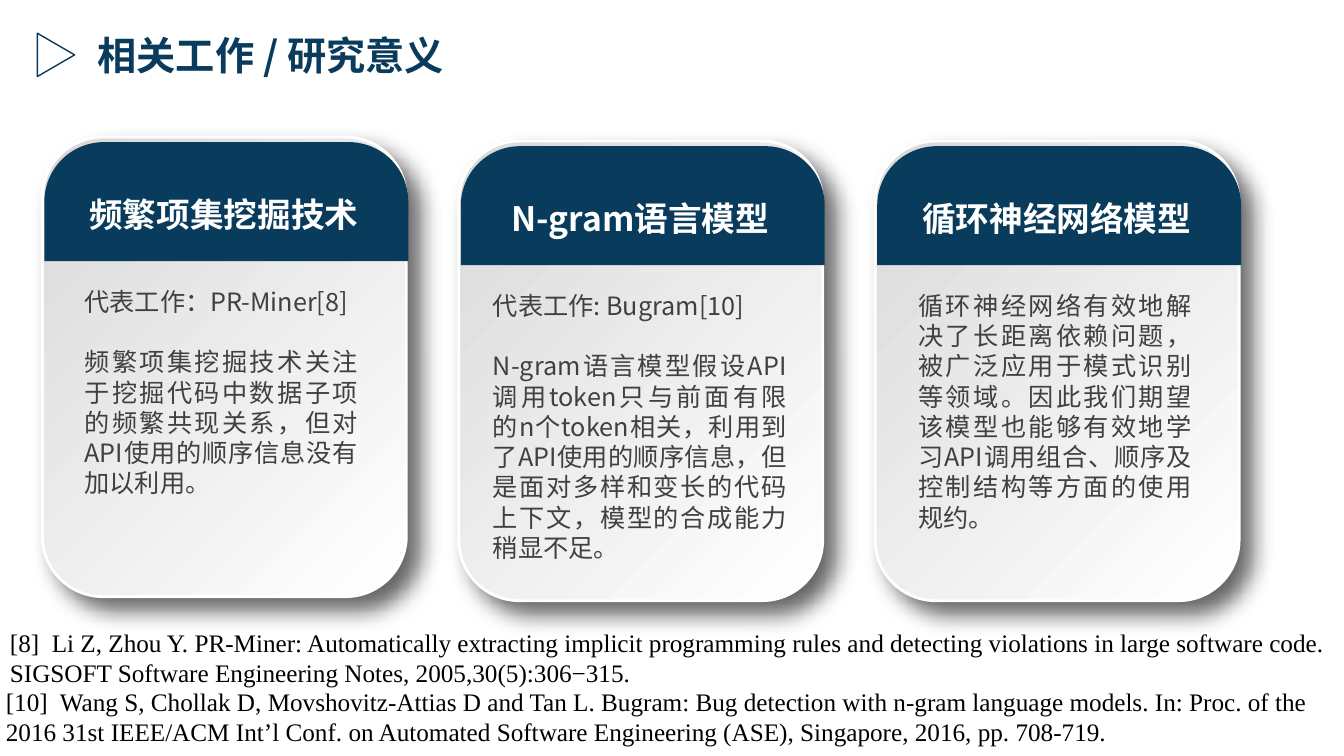
from dataclasses import dataclass

from lxml import etree
from pptx import Presentation
from pptx.dml.color import RGBColor
from pptx.dml.fill import FillFormat
from pptx.enum.shapes import MSO_SHAPE
from pptx.enum.text import PP_ALIGN
from pptx.oxml.ns import qn
from pptx.shapes.autoshape import Shape
from pptx.slide import Slide
from pptx.util import Inches, Pt

ROUND_RECT = MSO_SHAPE.ROUNDED_RECTANGLE
ROUND_TOP = MSO_SHAPE.ROUND_2_SAME_RECTANGLE
TRIANGLE = MSO_SHAPE.ISOSCELES_TRIANGLE
LEFT, CENTER, JUSTIFY = PP_ALIGN.LEFT, PP_ALIGN.CENTER, PP_ALIGN.JUSTIFY

SANS, SERIF = "Noto Sans CJK SC", "Times New Roman"
NAVY, WHITE, SILVER, GRAY, BLACK = "093B5C", "FFFFFF", "D9D9D9", "404040", "000000"
CARD_LEFT, CARD_PITCH, CARD_W, CARD_H, HEADER_H = 0.42, 4.13, 3.61, 4.56, 1.18
LINE_FACTOR = 1.2
DEGREE = 60000


@dataclass
class Card:
    title: str
    paragraphs: list[str]
    top: float
    body_inset: float
    body_width: float
    body_height: float


@dataclass
class Reference:
    text: str
    left: float
    top: float
    width: float


CARDS = [
    Card("频繁项集挖掘技术",
         ["代表工作：PR-Miner[8]",
          "频繁项集挖掘技术关注于挖掘代码中数据子项的频繁共现关系，"
          "但对API使用的顺序信息没有加以利用。"],
         1.36, 0.32, 2.91, 2.22),
    Card("N-gram语言模型",
         ["代表工作: Bugram[10]",
          "N-gram语言模型假设API调用token只与前面有限的n个token相关，"
          "利用到了API使用的顺序信息，但是面对多样和变长的代码上下文，"
          "模型的合成能力稍显不足。"],
         1.4, 0.24, 3.11, 2.83),
    Card("循环神经网络模型",
         ["循环神经网络有效地解决了长距离依赖问题，被广泛应用于模式识别等领域。"
          "因此我们期望该模型也能够有效地学习API调用组合、顺序及控制结构等方面的使用规约。"],
         1.4, 0.33, 2.91, 2.52),
]

REFERENCES = [
    Reference("[8]  Li Z, Zhou Y. PR-Miner: Automatically extracting implicit programming "
              "rules and detecting violations in large software code. SIGSOFT Software "
              "Engineering Notes, 2005,30(5):306−315.", 0, 6.17, 13.26),
    Reference("[10]  Wang S, Chollak D, Movshovitz-Attias D and Tan L. Bugram: Bug detection "
              "with n-gram language models. In: Proc. of the 2016 31st IEEE/ACM Int’l Conf. "
              "on Automated Software Engineering (ASE), Singapore, 2016, pp. 708-719.",
              -0.04, 6.76, 13.3),
]


def rgb(color: str) -> RGBColor:
    return RGBColor.from_string(color)


def add_text(s: Slide, box: tuple[float, float, float, float], paragraphs: list[str],
             size: float, color: str, font: str = SANS, bold: bool = False,
             align: PP_ALIGN = LEFT) -> None:
    tf = s.shapes.add_textbox(*map(Inches, box)).text_frame
    tf.word_wrap = True
    for i, text in enumerate(paragraphs):
        p = tf.paragraphs[0] if i == 0 else tf.add_paragraph()
        p.alignment = align
        if font == SANS:
            p.line_spacing = Pt(size * LINE_FACTOR)
        if i > 0:
            p.space_before = Pt(size * LINE_FACTOR)
        r = p.add_run()
        r.text = text
        r.font.size, r.font.bold, r.font.name = Pt(size), bold, font
        r.font.color.rgb = rgb(color)
        etree.SubElement(r.font._element, qn("a:ea"), typeface=font)


def fill_silver_gradient(fill: FillFormat, owner: etree._Element) -> None:
    """Fade from white to silver at the top left; owner is the element holding the fill."""
    fill.gradient()
    for stop, position, color in zip(fill.gradient_stops, (0, 1), (WHITE, SILVER)):
        stop.position = position
        stop.color.rgb = rgb(color)
    grad = owner.find(qn("a:gradFill"))
    for lin in grad.findall(qn("a:lin")):
        grad.remove(lin)
    etree.SubElement(grad, qn("a:lin"), ang=str(225 * DEGREE), scaled="0")


def add_shadow(sp: Shape) -> None:
    sp.shadow.inherit = False
    effects = sp._element.spPr.find(qn("a:effectLst"))
    shadow = etree.SubElement(effects, qn("a:outerShdw"), blurRad=str(Pt(16)),
                              dist=str(Pt(12)), dir=str(45 * DEGREE), algn="tl",
                              rotWithShape="0")
    color = etree.SubElement(shadow, qn("a:srgbClr"), val=BLACK)
    etree.SubElement(color, qn("a:alpha"), val="60000")


def add_card(s: Slide, card: Card, left: float) -> None:
    group = s.shapes.add_group_shape()
    panel = group.shapes.add_shape(ROUND_RECT, Inches(left), Inches(card.top),
                                   Inches(CARD_W), Inches(CARD_H))
    properties = panel._element.spPr
    fill_silver_gradient(panel.fill, properties)
    panel.line.width = Pt(2)
    fill_silver_gradient(panel.line.fill, properties.find(qn("a:ln")))
    add_shadow(panel)

    header = group.shapes.add_shape(ROUND_TOP, Inches(left + 0.02), Inches(card.top + 0.05),
                                    Inches(CARD_W), Inches(HEADER_H))
    header.adjustments[0] = 0.5
    header.adjustments[1] = 0
    header.fill.solid()
    header.fill.fore_color.rgb = rgb(NAVY)
    header.line.fill.background()
    header.shadow.inherit = False

    add_text(s, (left + 0.26, card.top + 0.51, 3.08, 0.5), [card.title], 24, WHITE,
             bold=True, align=CENTER)
    add_text(s, (left + card.body_inset, card.top + 1.43, card.body_width, card.body_height),
             card.paragraphs, 18, GRAY, align=JUSTIFY)


def add_heading(s: Slide) -> None:
    add_text(s, (0.87, 0.26, 4.32, 0.57), ["相关工作 / 研究意义"], 28, NAVY, bold=True)
    marker = s.shapes.add_shape(TRIANGLE, Inches(0.34), Inches(0.36),
                                Inches(0.43), Inches(0.37))
    marker.rotation = 90
    marker.fill.background()
    marker.line.color.rgb = rgb(NAVY)
    marker.line.width = Pt(1)
    marker.shadow.inherit = False


def main() -> None:
    prs = Presentation()
    prs.slide_width, prs.slide_height = Inches(13.33), Inches(7.5)
    s = prs.slides.add_slide(prs.slide_layouts[6])
    add_heading(s)
    for i, card in enumerate(CARDS):
        add_card(s, card, CARD_LEFT + i * CARD_PITCH)
    for ref in REFERENCES:
        add_text(s, (ref.left, ref.top, ref.width, 0.71), [ref.text], 18, BLACK, SERIF)
    prs.save("out.pptx")


if __name__ == "__main__":
    main()
